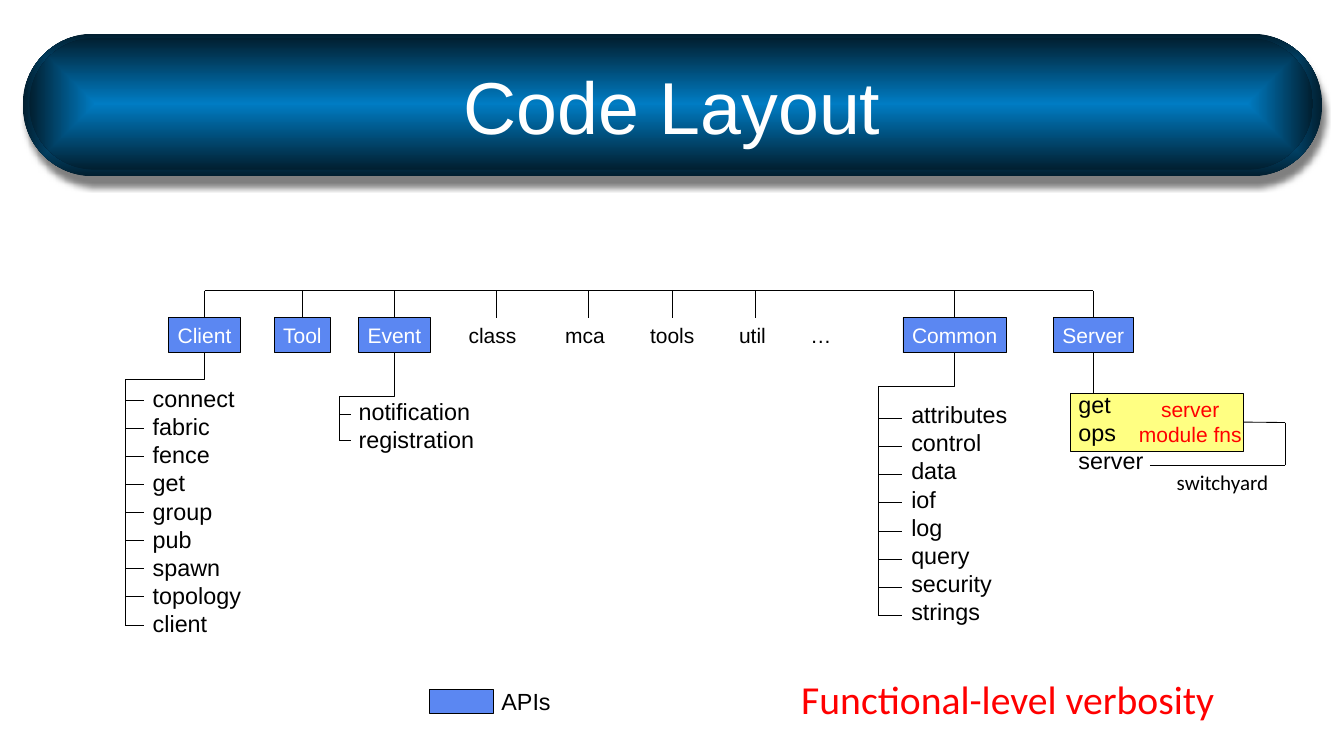
from dataclasses import dataclass
from itertools import pairwise

from lxml.etree import SubElement
from pptx import Presentation
from pptx.dml.color import RGBColor
from pptx.enum.shapes import MSO_CONNECTOR, MSO_SHAPE
from pptx.enum.text import MSO_ANCHOR, MSO_AUTO_SIZE, PP_ALIGN
from pptx.oxml.ns import qn
from pptx.shapes.autoshape import Shape
from pptx.shapes.connector import Connector
from pptx.slide import Slide
from pptx.text.text import TextFrame
from pptx.util import Inches, Pt

BLACK = RGBColor(0, 0, 0)
WHITE = RGBColor(255, 255, 255)
RED = RGBColor(255, 0, 0)
YELLOW = RGBColor(255, 255, 0)
BLUE = RGBColor(0x5B, 0x87, 0xF2)
OCEAN = RGBColor(0x00, 0x7C, 0xC3)
NAVY = RGBColor(0x01, 0x1F, 0x30)

BUS = 3.46
TOP = 3.78
BASE = 4.2


@dataclass
class Api:
    name: str
    left: float
    width: float

    @property
    def mid(self) -> float:
        return self.left + self.width / 2


@dataclass
class Label:
    text: str
    left: float
    top: float
    width: float
    height: float
    size: int = 20
    color: RGBColor = BLACK
    font: str = "Arial"
    align: PP_ALIGN = PP_ALIGN.LEFT


@dataclass
class Branch:
    api: Api
    trunk: float
    bend: float
    first: float
    last: float
    tick: float
    label: Label


CLIENT = Api("Client", 2.01, 0.85)
TOOL = Api("Tool", 3.27, 0.66)
EVENT = Api("Event", 4.27, 0.85)
COMMON = Api("Common", 10.75, 1.23)
SERVER = Api("Server", 12.54, 0.95)
APIS = [CLIENT, TOOL, EVENT, COMMON, SERVER]

DIRS = [
    (Label("class", 5.48, 3.79, 0.78, 0.4, 18), 5.91),
    (Label("mca", 6.63, 3.79, 0.68, 0.4, 18), 7.01),
    (Label("tools", 7.64, 3.79, 0.73, 0.4, 18), 8.0),
    (Label("util", 8.7, 3.79, 0.52, 0.4, 18), 8.99),
]

BRANCHES = [
    Branch(CLIENT, 1.49, 4.52, 4.77, 7.44, 0.22, Label(
        "connect\nfabric\nfence\nget\ngroup\npub\nspawn\ntopology\nclient",
        1.72, 4.53, 1.26, 3.13)),
    Branch(EVENT, 4.04, 4.72, 4.93, 5.24, 0.14, Label(
        "notification\nregistration", 4.17, 4.68, 1.59, 0.77)),
    Branch(COMMON, 10.46, 4.6, 4.98, 7.33, 0.28, Label(
        "attributes\ncontrol\ndata\niof\nlog\nquery\nsecurity\nstrings",
        10.75, 4.72, 1.35, 2.79)),
]

NOTES = [
    Label("…", 9.55, 3.79, 0.45, 0.4, 18),
    Label("get\nops\nserver", 12.74, 4.6, 0.98, 1.11),
    Label("server\nmodule fns", 13.45, 4.67, 1.44, 0.71, 18, RED,
          align=PP_ALIGN.CENTER),
    Label("switchyard", 13.91, 5.54, 1.39, 0.4, 18, font="Calibri"),
    Label("APIs", 5.87, 8.13, 0.79, 0.44),
    Label("Functional-level verbosity", 9.44, 7.99, 5.32, 0.67, 34, RED,
          "Calibri"),
]


def style(frame: TextFrame, size: int, color: RGBColor, font: str,
          align: PP_ALIGN) -> None:
    for para in frame.paragraphs:
        para.alignment = align
        para.font.size = Pt(size)
        para.font.name = font
        para.font.color.rgb = color


def write(slide: Slide, label: Label) -> None:
    box = slide.shapes.add_textbox(Inches(label.left), Inches(label.top),
                                   Inches(label.width), Inches(label.height))
    frame = box.text_frame
    frame.text = label.text
    frame.word_wrap = False
    frame.auto_size = MSO_AUTO_SIZE.SHAPE_TO_FIT_TEXT
    style(frame, label.size, label.color, label.font, label.align)


def block(slide: Slide, left: float, top: float, width: float, height: float,
          color: RGBColor) -> Shape:
    rect = slide.shapes.add_shape(MSO_SHAPE.RECTANGLE, Inches(left), Inches(top),
                                  Inches(width), Inches(height))
    rect.shadow.inherit = False
    rect.fill.solid()
    rect.fill.fore_color.rgb = color
    rect.line.color.rgb = BLACK
    rect.line.width = Pt(0.75)
    return rect


def pill(slide: Slide, left: float, top: float, width: float,
         height: float) -> Shape:
    bar = slide.shapes.add_shape(MSO_SHAPE.ROUNDED_RECTANGLE, Inches(left),
                                 Inches(top), Inches(width), Inches(height))
    bar.adjustments[0] = 0.5
    bar.shadow.inherit = False
    bar.line.fill.background()
    bar.fill.gradient()
    for stop, color, place in zip(bar.fill.gradient_stops, (OCEAN, NAVY), (0, 1)):
        stop.color.rgb = color
        stop.position = place
    grad = bar._element.spPr.find(qn("a:gradFill"))
    grad.remove(grad.find(qn("a:lin")))
    shade = SubElement(grad, qn("a:path"), path="shape")
    SubElement(shade, qn("a:fillToRect"), l="50000", t="50000", r="50000", b="50000")
    return bar


def link(slide: Slide, x1: float, y1: float, x2: float, y2: float,
         kind: MSO_CONNECTOR = MSO_CONNECTOR.STRAIGHT) -> Connector:
    line = slide.shapes.add_connector(kind, Inches(x1), Inches(y1),
                                      Inches(x2), Inches(y2))
    line.line.color.rgb = BLACK
    line.line.width = Pt(0.75)
    SubElement(line._element.spPr, qn("a:effectLst"))
    return line


def elbow(slide: Slide, x1: float, y1: float, x2: float, y2: float,
          bend: float) -> None:
    x, y = (x1 + x2) / 2, (y1 + y2) / 2
    wide, high = (y2 - y1) / 2, (x1 - x2) / 2
    line = link(slide, x - wide, y - high, x + wide, y + high, MSO_CONNECTOR.ELBOW)
    props = line._element.spPr
    props.find(qn("a:xfrm")).set("rot", "5400000")
    ratio = round((bend - y1) / (y2 - y1) * 100000)
    SubElement(props.find(qn("a:prstGeom")).find(qn("a:avLst")), qn("a:gd"),
               name="adj1", fmla=f"val {ratio}")


def banner(slide: Slide) -> None:
    back = pill(slide, 0.27, 0.4, 15.47, 1.7)
    glow = SubElement(back._element.spPr.find(qn("a:effectLst")), qn("a:outerShdw"),
                      blurRad=str(Pt(5)), dist=str(Pt(9.2)), dir="4620000",
                      algn="ctr", rotWithShape="0")
    tint = SubElement(glow, qn("a:srgbClr"), val=str(BLACK))
    SubElement(tint, qn("a:alpha"), val="50000")
    pill(slide, 0.35, 0.45, 15.28, 1.57)

    title = slide.shapes.title
    title.left, title.top = Inches(1.2), Inches(0.5)
    title.width, title.height = Inches(13.6), Inches(1.5)
    frame = title.text_frame
    frame.text = "Code Layout"
    frame.vertical_anchor = MSO_ANCHOR.MIDDLE
    frame.margin_left = frame.margin_right = Inches(0.14)
    frame.margin_top = frame.margin_bottom = Inches(0.07)
    style(frame, 63, WHITE, "Arial", PP_ALIGN.CENTER)
    slide.shapes._spTree.append(title._element)


def branch(slide: Slide, item: Branch) -> None:
    elbow(slide, item.api.mid, BASE, item.trunk, item.last, item.bend)
    count = len(item.label.text.split("\n"))
    step = (item.last - item.first) / (count - 1)
    for row in range(count):
        y = item.first + row * step
        link(slide, item.trunk, y, item.trunk + item.tick, y)
    write(slide, item.label)


def main() -> None:
    deck = Presentation()
    deck.slide_width, deck.slide_height = Inches(16), Inches(9)
    slide = deck.slides.add_slide(deck.slide_layouts[5])
    banner(slide)

    panel = block(slide, 12.74, 4.68, 2.06, 0.69, YELLOW)
    tint = panel._element.spPr.find(qn("a:solidFill"))[0]
    SubElement(tint, qn("a:alpha"), val="49000")
    block(slide, 5.11, 8.21, 0.76, 0.28, BLUE)

    link(slide, CLIENT.mid, BUS, SERVER.mid, BUS)
    for api in APIS:
        box = block(slide, api.left, TOP, api.width, BASE - TOP, BLUE)
        box.text_frame.text = api.name
        box.text_frame.word_wrap = False
        style(box.text_frame, 18, WHITE, "Arial", PP_ALIGN.CENTER)
        link(slide, api.mid, BUS, api.mid, TOP).end_connect(box, 0)
        if api is SERVER:
            link(slide, api.mid, BASE, api.mid, 4.68).begin_connect(box, 2)

    for label, x in DIRS:
        link(slide, x, BUS, x, TOP)
        write(slide, label)
    for item in BRANCHES:
        branch(slide, item)

    route = [(13.69, 5.54), (15.3, 5.54), (15.3, 5.03), (14.8, 5.03)]
    for start, end in pairwise(route):
        wire = link(slide, *start, *end)
    wire.end_connect(panel, 3)
    for note in NOTES:
        write(slide, note)
    deck.save("out.pptx")


if __name__ == "__main__":
    main()
